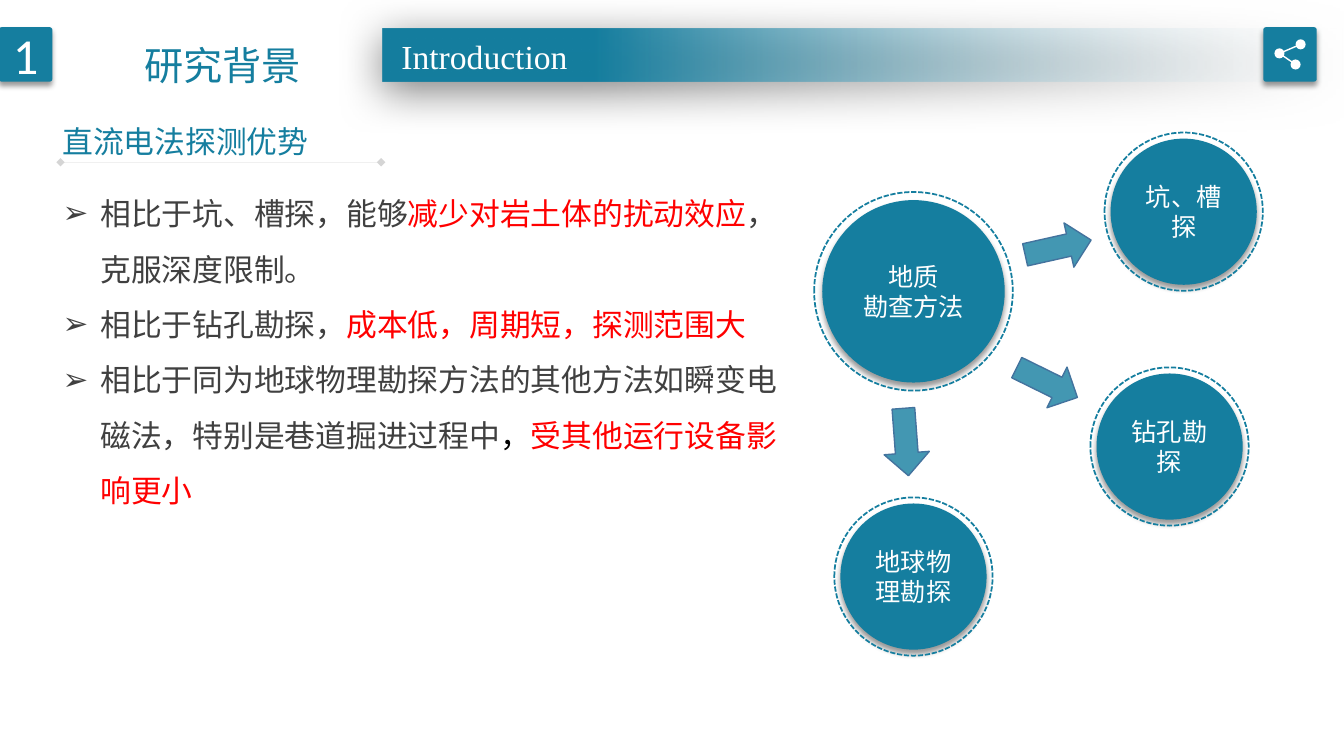
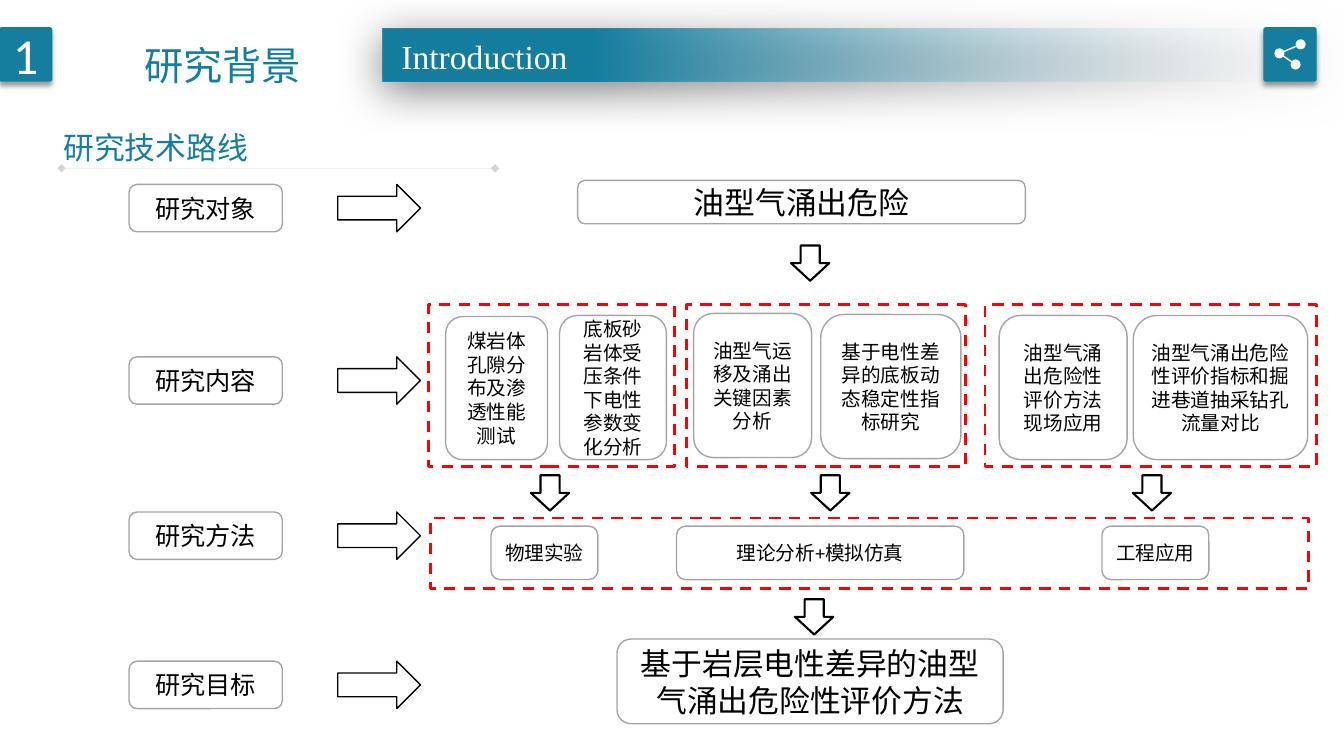
from dataclasses import dataclass
from typing import Any, NamedTuple, Optional

from lxml import etree
from pptx import Presentation
from pptx.dml.color import RGBColor
from pptx.enum.dml import MSO_LINE
from pptx.enum.shapes import MSO_CONNECTOR, MSO_SHAPE
from pptx.enum.text import MSO_ANCHOR, MSO_AUTO_SIZE, PP_ALIGN
from pptx.oxml.ns import qn
from pptx.util import Inches, Pt

TEAL = RGBColor(0x15, 0x7E, 0x9F)
PALE = RGBColor(0xF7, 0xFA, 0xFD)
WHITE = RGBColor(0xFF, 0xFF, 0xFF)
BLACK = RGBColor(0x00, 0x00, 0x00)
RED = RGBColor(0xFF, 0x00, 0x00)
CHARCOAL = RGBColor(0x40, 0x40, 0x40)
GRAY = RGBColor(0x80, 0x80, 0x80)
SILVER = RGBColor(0xA5, 0xA5, 0xA5)
ARROW_EDGE = RGBColor(0x43, 0x73, 0x9E)

CJK = "Noto Sans CJK SC"
LATIN = "Calibri"
SERIF = "Times New Roman"

RECT, ROUNDED, OVAL, ARROW = (
    MSO_SHAPE.RECTANGLE, MSO_SHAPE.ROUNDED_RECTANGLE,
    MSO_SHAPE.OVAL, MSO_SHAPE.RIGHT_ARROW,
)
DASH, SHORT_DASH = MSO_LINE.DASH, MSO_LINE.SQUARE_DOT
STRAIGHT = MSO_CONNECTOR.STRAIGHT
LEFT, CENTER = PP_ALIGN.LEFT, PP_ALIGN.CENTER
TOP = MSO_ANCHOR.TOP
NO_AUTOFIT = MSO_AUTO_SIZE.NONE
TITLE_AND_CONTENT, TITLE_ONLY = 1, 5

FRAME_FORMAT = {"word_wrap": True, "auto_size": NO_AUTOFIT, "vertical_anchor": TOP}


class Box(NamedTuple):
    left: float
    top: float
    width: float
    height: float


class Shadow(NamedTuple):
    opacity: int
    blur: float
    distance: float
    angle: int


class Span(NamedTuple):
    text: str
    color: RGBColor


@dataclass(frozen=True)
class TextStyle:
    size: float
    color: RGBColor
    font: str = LATIN
    align: Any = CENTER
    spacing: float = 1.0


@dataclass(frozen=True)
class Outline:
    color: RGBColor
    width: float
    dash: Any = None


@dataclass(frozen=True)
class Card:
    text: str
    box: Box
    size: float = 14


@dataclass(frozen=True)
class Disc:
    text: str
    x: float
    y: float
    diameter: float = 1.45
    gap: float = 0.06


SOFT_SHADOW = Shadow(40, 4, 3, 90)
BAND_SHADOW = Shadow(50, 31, 6, 97)
TITLE_STYLE = TextStyle(28, TEAL, CJK, LEFT, 1.5)
SUBHEADING_STYLE = TextStyle(22, TEAL, CJK, LEFT, 1.3)
BULLET_STYLE = TextStyle(22, CHARCOAL, CJK, LEFT, 1.5)

ADVANTAGES = [
    [Span("相比于坑、槽探，能够", CHARCOAL), Span("减少对岩土体的扰动效应", RED),
     Span("，克服深度限制。", CHARCOAL)],
    [Span("相比于钻孔勘探，", CHARCOAL), Span("成本低，周期短，探测范围大", RED)],
    [Span("相比于同为地球物理勘探方法的其他方法如瞬变电磁法，特别是巷道掘进过程中", CHARCOAL),
     Span("，", BLACK), Span("受其他运行设备影响更小", RED)],
]
SURVEY_METHODS = [
    Disc("地质\n勘查方法", 9.06, 2.89, 1.81, 0.08),
    Disc("坑、槽探", 11.74, 2.1),
    Disc("钻孔勘探", 11.6, 4.43),
    Disc("地球物理勘探", 9.06, 5.72),
]
METHOD_ARROWS = [(10.16, 2.23, 347.4), (10.05, 3.57, 26.2), (8.65, 4.16, 85.7)]

STAGES = [("研究对象", 1.83), ("研究内容", 3.54), ("研究方法", 5.08), ("研究目标", 6.56)]
ROUTE_CARDS = [
    Card("油型气涌出危险", Box(5.73, 1.79, 4.44, 0.43), 22),
    Card("煤岩体孔隙分布及渗透性能测试", Box(4.42, 3.14, 1.01, 1.42)),
    Card("底板砂岩体受压条件下电性参数变化分析", Box(5.55, 3.13, 1.06, 1.43)),
    Card("油型气运移及涌出关键因素分析", Box(6.88, 3.11, 1.17, 1.43)),
    Card("基于电性差异的底板动态稳定性指标研究", Box(8.14, 3.12, 1.39, 1.43)),
    Card("油型气涌出危险性评价方法现场应用", Box(9.91, 3.13, 1.27, 1.43)),
    Card("油型气涌出危险性评价指标和掘进巷道抽采钻孔流量对比", Box(11.24, 3.13, 1.73, 1.43)),
    Card("物理实验", Box(4.87, 5.22, 1.06, 0.53)),
    Card("理论分析+模拟仿真", Box(6.71, 5.22, 2.85, 0.53)),
    Card("工程应用", Box(10.93, 5.22, 1.06, 0.53)),
    Card("基于岩层电性差异的油型气涌出危险性评价方法", Box(6.12, 6.34, 3.83, 0.84), 22),
]
ROUTE_FRAMES = [
    Box(4.25, 3.02, 2.44, 1.61), Box(6.81, 3.02, 2.77, 1.61),
    Box(9.77, 3.02, 3.29, 1.61), Box(4.27, 5.14, 8.71, 0.7),
]
DOWN_ARROWS = [(7.86, 2.42), (5.28, 4.7), (8.06, 4.7), (11.25, 4.7), (7.9, 5.93)]


def apply_format(target: Any, values: dict[str, Any]) -> None:
    for name, value in values.items():
        setattr(target, name, value)


def inches(box: Box) -> list[int]:
    return [Inches(length) for length in box]


def add_element(parent: Any, tag: str, **attributes: Any) -> Any:
    return etree.SubElement(parent, qn(tag), {k: str(v) for k, v in attributes.items()})


def set_opacity(shape: Any, percent: int) -> None:
    color = next(shape.element.spPr.iter(qn("a:srgbClr")))
    add_element(color, "a:alpha", val=percent * 1000)


def set_shadow(shape: Any, shadow: Optional[Shadow]) -> None:
    shape.shadow.inherit = False
    if shadow:
        effects = shape.element.spPr.find(qn("a:effectLst"))
        outer = add_element(effects, "a:outerShdw", blurRad=Pt(shadow.blur),
                            dist=Pt(shadow.distance), dir=shadow.angle * 60000,
                            algn="t", rotWithShape=0)
        color = add_element(outer, "a:srgbClr", val=BLACK)
        add_element(color, "a:alpha", val=shadow.opacity * 1000)


def add_run(paragraph: Any, span: Span, style: TextStyle) -> None:
    run = paragraph.add_run()
    run.text = span.text
    apply_format(run.font, {"size": Pt(style.size), "name": style.font})
    run.font.color.rgb = span.color
    add_element(run.font._element, "a:ea", typeface=CJK)


def write_text(frame: Any, paragraphs: list[list[Span]], style: TextStyle,
               bullet: str = "") -> None:
    for index, spans in enumerate(paragraphs):
        paragraph = frame.add_paragraph() if index else frame.paragraphs[0]
        if bullet:
            properties = paragraph._p.get_or_add_pPr()
            apply_format(properties, {"marL": Inches(0.38), "indent": Inches(-0.38)})
            add_element(properties, "a:buChar", char=bullet)
        apply_format(paragraph, {"alignment": style.align, "line_spacing": style.spacing,
                                 "space_before": Pt(0)})
        for span in spans:
            add_run(paragraph, span, style)


def write_lines(frame: Any, text: str, style: TextStyle) -> None:
    write_text(frame, [[Span(line, style.color)] for line in text.split("\n")], style)


def add_figure(slide: Any, kind: Any, box: Box, fill: Optional[RGBColor] = None,
               outline: Optional[Outline] = None, shadow: Optional[Shadow] = None,
               rotation: float = 0) -> Any:
    shape = slide.shapes.add_shape(kind, *inches(box))
    shape.rotation = rotation
    if fill is None:
        shape.fill.background()
    else:
        shape.fill.solid()
        shape.fill.fore_color.rgb = fill
    if outline is None:
        shape.line.fill.background()
    else:
        shape.line.color.rgb = outline.color
        shape.line.width = Pt(outline.width)
        if outline.dash:
            shape.line.dash_style = outline.dash
    set_shadow(shape, shadow)
    return shape


def add_line(slide: Any, start: tuple[float, float], end: tuple[float, float],
             color: RGBColor, width: float) -> Any:
    line = slide.shapes.add_connector(STRAIGHT, *inches((*start, *end)))
    line.line.color.rgb = color
    line.line.width = Pt(width)
    add_element(line.element.spPr, "a:effectLst")
    return line


def add_label(slide: Any, box: Box, text: str, style: TextStyle) -> None:
    frame = slide.shapes.add_textbox(*inches(box)).text_frame
    apply_format(frame, FRAME_FORMAT)
    write_lines(frame, text, style)


def place_placeholder(placeholder: Any, box: Box) -> Any:
    apply_format(placeholder, dict(zip(box._fields, inches(box))))
    apply_format(placeholder.text_frame, FRAME_FORMAT)
    return placeholder.text_frame


def add_band(slide: Any) -> None:
    band = add_figure(slide, RECT, Box(3.8, 0.28, 9.53, 0.53), shadow=BAND_SHADOW)
    band.fill.gradient()
    band.fill.gradient_angle = 180
    for stop, color, position in zip(band.fill.gradient_stops, (PALE, TEAL), (0, 0.78)):
        stop.color.rgb = color
        stop.position = position
    set_opacity(band, 0)


def add_share_icon(slide: Any) -> None:
    hub, upper, lower = (12.69, 0.53), (12.9, 0.44), (12.85, 0.64)
    radius = 0.05
    for end in (upper, lower):
        add_line(slide, hub, end, WHITE, 1)
    for x, y in (hub, upper, lower):
        add_figure(slide, OVAL, Box(x - radius, y - radius, 2 * radius, 2 * radius), WHITE)


def add_header(slide: Any) -> None:
    write_lines(place_placeholder(slide.shapes.title, Box(1.33, 0.13, 2, 0.7)),
                "研究背景", TITLE_STYLE)
    add_band(slide)
    badges = [add_figure(slide, ROUNDED, Box(left, 0.27, 0.53, 0.54), TEAL, shadow=SOFT_SHADOW)
              for left in (-0.01, 12.53)]
    for badge in badges:
        badge.adjustments[0] = 0.05
    write_lines(badges[0].text_frame, "1", TextStyle(36, WHITE))
    add_label(slide, Box(3.57, 0.31, 2.47, 0.5), "Introduction", TextStyle(24, WHITE, SERIF))
    add_share_icon(slide)


def add_subheading(slide: Any, text: str, left: float, top: float, rule_end: float) -> None:
    add_label(slide, Box(left, top, 3, 0.51), text, SUBHEADING_STYLE)
    rule_y = top + 0.55
    rule = add_line(slide, (left + 0.08, rule_y), (rule_end, rule_y), GRAY, 0.25)
    set_opacity(rule, 33)
    for tip in ("a:headEnd", "a:tailEnd"):
        add_element(rule.line._get_or_add_ln(), tip, type="diamond")


def add_disc(slide: Any, disc: Disc) -> None:
    for diameter, fill, outline, shadow, text in (
        (disc.diameter, TEAL, None, SOFT_SHADOW, disc.text),
        (disc.diameter + 2 * disc.gap, None, Outline(TEAL, 1.25, SHORT_DASH), None, ""),
    ):
        box = Box(disc.x - diameter / 2, disc.y - diameter / 2, diameter, diameter)
        circle = add_figure(slide, OVAL, box, fill, outline, shadow)
        if text:
            write_lines(circle.text_frame, text, TextStyle(18, WHITE))


def add_card(slide: Any, card: Card) -> None:
    shape = add_figure(slide, ROUNDED, card.box, WHITE, Outline(SILVER, 1))
    write_lines(shape.text_frame, card.text, TextStyle(card.size, BLACK))


def build_advantages(deck: Any) -> None:
    slide = deck.slides.add_slide(deck.slide_layouts[TITLE_AND_CONTENT])
    add_header(slide)
    add_subheading(slide, "直流电法探测优势", 0.52, 1.06, 3.78)
    body = place_placeholder(slide.placeholders[1], Box(0.52, 1.7, 7.37, 3.83))
    write_text(body, ADVANTAGES, BULLET_STYLE, "➢")
    for disc in SURVEY_METHODS:
        add_disc(slide, disc)
    for left, top, angle in METHOD_ARROWS:
        arrow = add_figure(slide, ARROW, Box(left, top, 0.67, 0.45), TEAL,
                           Outline(ARROW_EDGE, 1), rotation=angle)
        set_opacity(arrow, 80)


def build_route(deck: Any) -> None:
    slide = deck.slides.add_slide(deck.slide_layouts[TITLE_ONLY])
    add_header(slide)
    add_subheading(slide, "研究技术路线", 0.53, 1.12, 4.91)
    for stage, top in STAGES:
        add_card(slide, Card(stage, Box(1.28, top, 1.52, 0.47), 18))
        add_figure(slide, ARROW, Box(3.35, top, 0.82, 0.47), WHITE, Outline(BLACK, 1))
    for card in ROUTE_CARDS:
        add_card(slide, card)
    for frame in ROUTE_FRAMES:
        add_figure(slide, RECT, frame, outline=Outline(RED, 2, DASH))
    for left, top in DOWN_ARROWS:
        add_figure(slide, ARROW, Box(left, top, 0.35, 0.38),
                   outline=Outline(BLACK, 1.5), rotation=90)


def main() -> None:
    deck = Presentation()
    apply_format(deck, {"slide_width": Inches(13.33), "slide_height": Inches(7.5)})
    build_advantages(deck)
    build_route(deck)
    deck.save("out.pptx")


if __name__ == "__main__":
    main()
